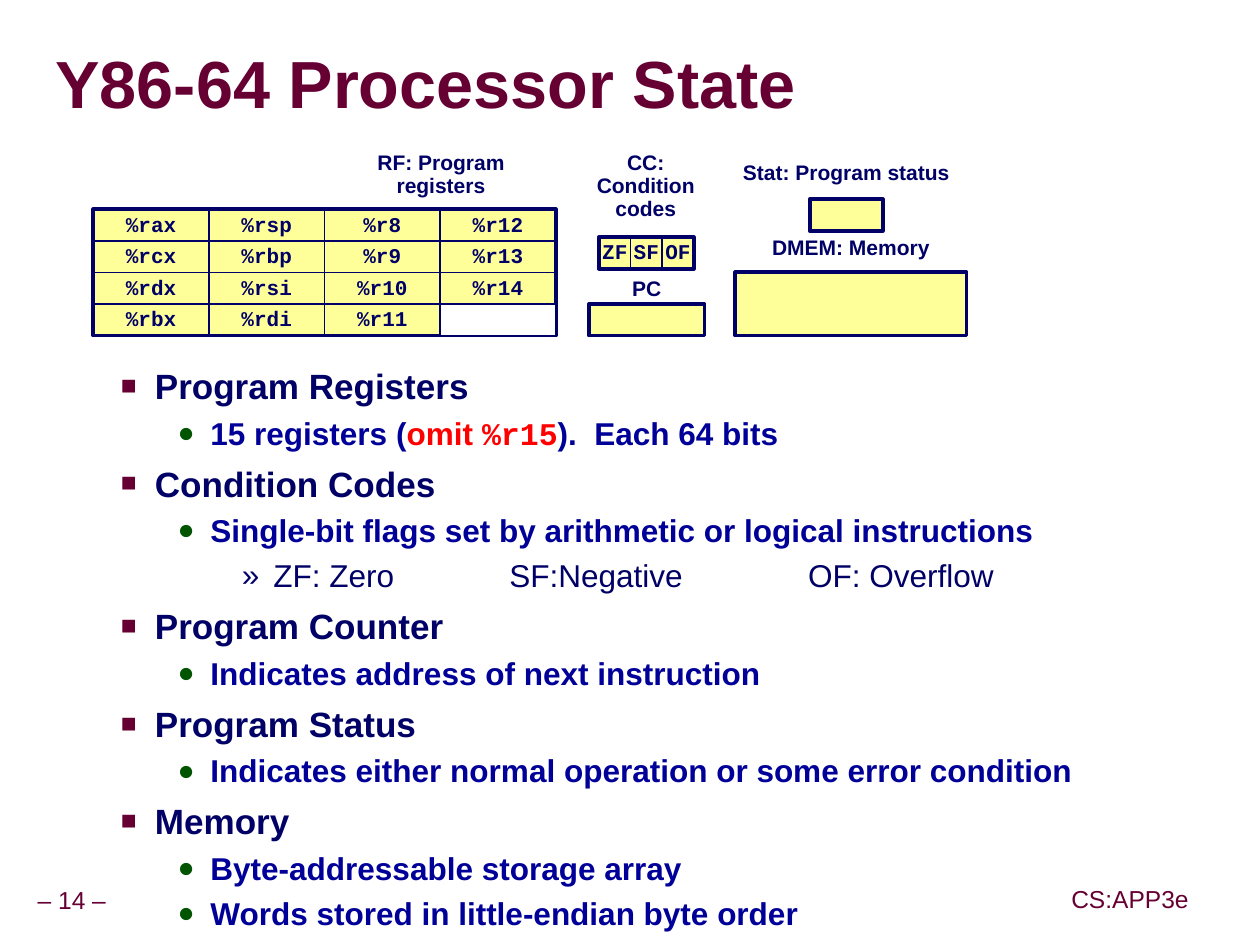
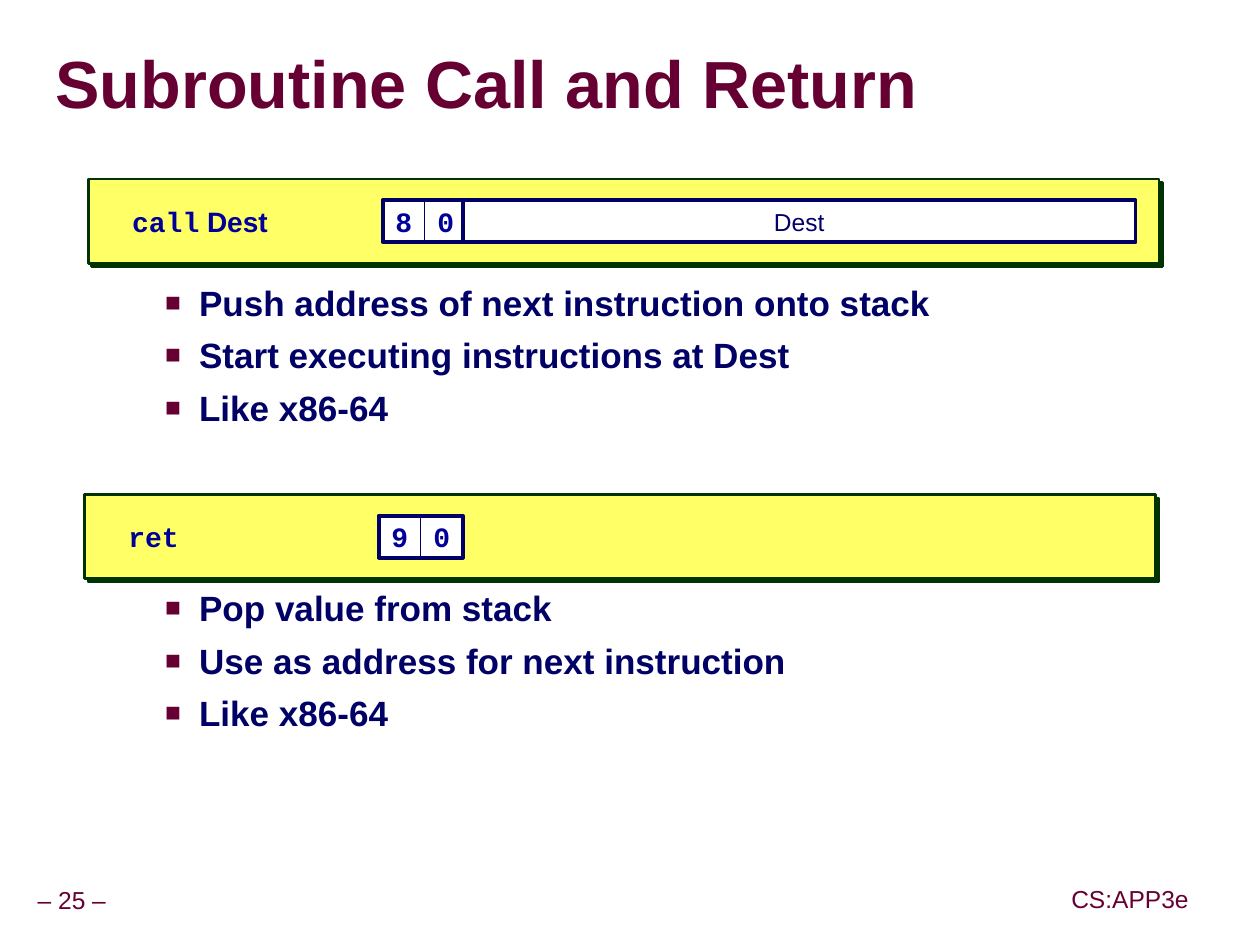
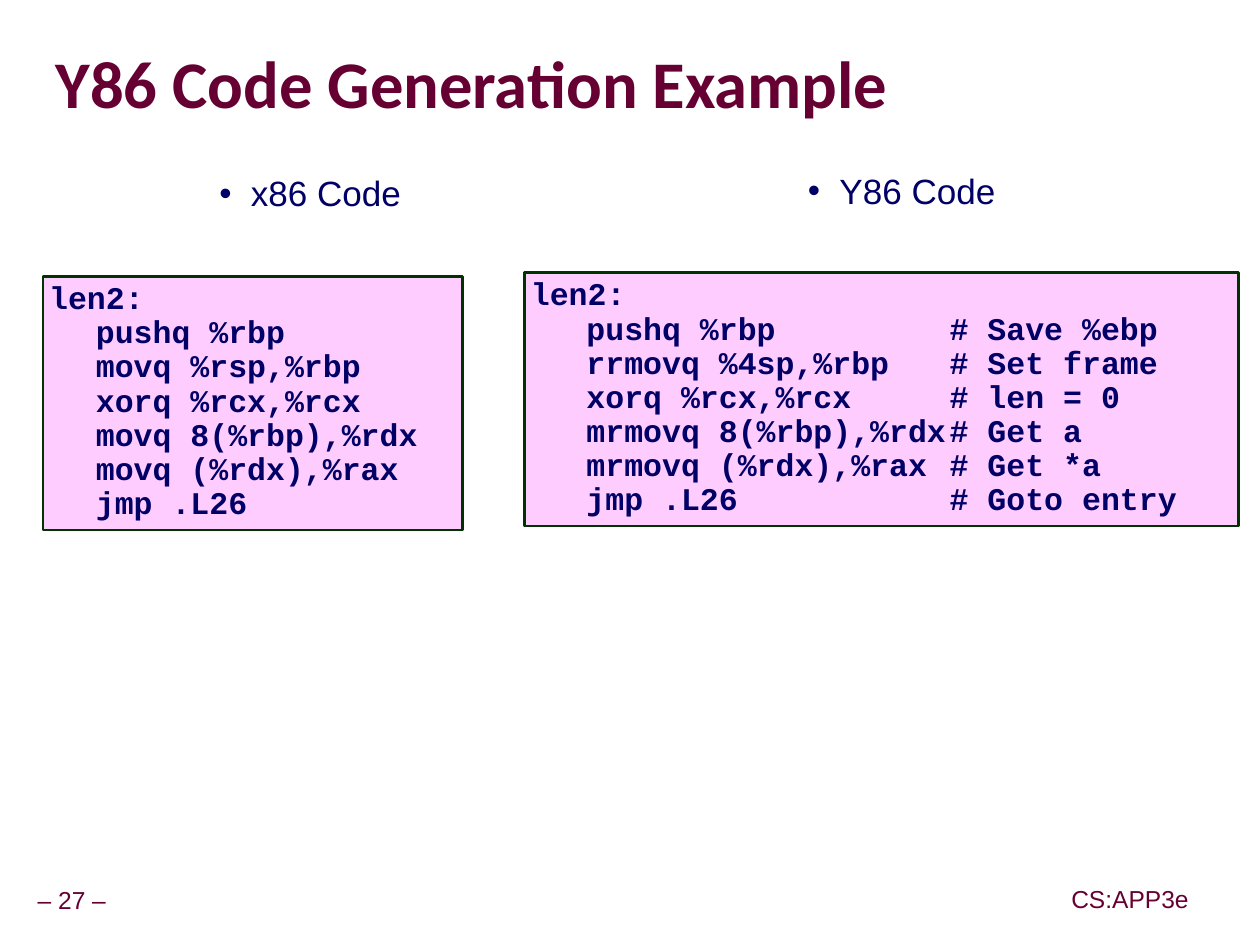
from lxml.etree import SubElement
from pptx import Presentation
from pptx.dml.color import RGBColor
from pptx.enum.shapes import MSO_SHAPE
from pptx.enum.text import MSO_ANCHOR, PP_ALIGN
from pptx.oxml.ns import qn
from pptx.util import Inches, Pt

COLORS = {
    "wine": "660033", "navy": "000066", "blue": "000099", "red": "FF0000",
    "green": "005400", "forest": "003300", "gray": "969696", "white": "FFFFFF",
    "cream": "FFFF99", "yellow": "FFFF66", "pink": "FFCCFF",
}
SANS, MONO = "Arial", "Courier New"
COLUMN, ROW = 11 / 12, 0.25
NIBBLE = 1 / 3

# Bullet styles: character, colour, size in percent, text indent, hanging, space before
TOPIC = ("■", "wine", 75, 0.81, 0.27, 6)
DETAIL = ("●", "green", 90, 1.25, 0.26, 2.5)
FLAG = ("»", "navy", 100, 1.75, 0.25, 4.3)
HEADING = ("•", "navy", 100, 0.25, 0.25, 0)


def add_box(page, place, fill=None, line=None, weight=1.0, wrap=True,
            anchor=MSO_ANCHOR.MIDDLE, inset=(0.1, 0.05)):
    """Add a rectangle, or a plain text box when neither fill nor line is given."""
    left, top, width, height = [Inches(length) for length in place]
    if fill or line:
        box = page.shapes.add_shape(MSO_SHAPE.RECTANGLE, left, top, width, height)
        box.shadow.inherit = False
        if fill:
            box.fill.solid()
            box.fill.fore_color.rgb = RGBColor.from_string(COLORS[fill])
        else:
            box.fill.background()
        box.line.color.rgb = RGBColor.from_string(COLORS[line])
        box.line.width = Pt(weight)
    else:
        box = page.shapes.add_textbox(left, top, width, height)
    frame = box.text_frame
    frame.word_wrap = wrap
    frame.vertical_anchor = anchor
    frame.margin_left = frame.margin_right = Inches(inset[0])
    frame.margin_top = frame.margin_bottom = Inches(inset[1])
    return box


def write(box, text, size, color="navy", font=SANS, bold=True,
          align=PP_ALIGN.LEFT, spacing=None, bullet=None, tabs=()):
    """Add a paragraph; text is a string or a list of (text, colour, font)."""
    frame = box.text_frame
    is_first = not frame.text
    para = frame.paragraphs[0] if is_first else frame.add_paragraph()
    properties = para._p.get_or_add_pPr()
    if bullet:
        mark, mark_color, percent, indent, hanging, before = bullet
        properties.set("marL", str(Inches(indent)))
        properties.set("indent", str(-Inches(hanging)))
        tint = SubElement(properties, qn("a:buClr"))
        SubElement(tint, qn("a:srgbClr"), val=COLORS[mark_color])
        SubElement(properties, qn("a:buSzPct"), val=str(percent * 1000))
        SubElement(properties, qn("a:buFont"), typeface=SANS)
        SubElement(properties, qn("a:buChar"), char=mark)
        if not is_first:
            para.space_before = Pt(before)
    if tabs:
        tab_list = SubElement(properties, qn("a:tabLst"))
        for stop in tabs:
            SubElement(tab_list, qn("a:tab"), pos=str(Inches(stop)), algn="l")
    para.alignment = align
    if spacing:
        para.line_spacing = spacing
    spans = [(text, color, font)] if isinstance(text, str) else text
    for words, span_color, span_font in spans:
        span = para.add_run()
        span.text = words
        span.font.size = Pt(size)
        span.font.name = span_font
        span.font.bold = bold
        span.font.color.rgb = RGBColor.from_string(COLORS[span_color])
    return para


deck = Presentation()
deck.slide_width, deck.slide_height = Inches(9.99), Inches(7.49)

# Titles and footers
pages = []
for title, title_font, number in [
    ("Y86-64 Processor State", SANS, 14),
    ("Subroutine Call and Return", SANS, 25),
    ("Y86 Code Generation Example", "Calibri", 27),
]:
    page = deck.slides.add_slide(deck.slide_layouts[5])
    pages.append(page)
    heading = page.shapes.title
    heading.left, heading.top = Inches(0.44), Inches(0.27)
    heading.width, heading.height = Inches(9.5), Inches(0.85)
    frame = heading.text_frame
    frame.vertical_anchor = MSO_ANCHOR.MIDDLE
    frame.margin_left = frame.margin_right = 0
    frame.margin_top = frame.margin_bottom = 0
    para = write(heading, title, 38, "wine", title_font, spacing=0.87)
    text_fill = para.runs[0]._r.rPr.find(qn("a:solidFill"))
    effects = text_fill.makeelement(qn("a:effectLst"))
    text_fill.addnext(effects)
    shadow = SubElement(effects, qn("a:outerShdw"), dist=str(Pt(2.8)), dir="2700000")
    SubElement(shadow, qn("a:srgbClr"), val=COLORS["gray"])

    for footer, place in [
        (f"– {number} –", (0.24, 6.99, 0.66, 0.31)),
        ("CS:APP3e", (8.44, 6.98, 1.04, 0.32)),
    ]:
        box = add_box(page, place, wrap=False, inset=(0.05, 0.05))
        write(box, footer, 14, "wine", bold=False, align=PP_ALIGN.CENTER, spacing=0.9)

state_page, call_page, code_page = pages

# Processor state: cell grids with a heavy frame
for left, top, width, columns in [
    (0.74, 1.66, COLUMN, [
        ["%rax", "%rcx", "%rdx", "%rbx"],
        ["%rsp", "%rbp", "%rsi", "%rdi"],
        ["%r8", "%r9", "%r10", "%r11"],
        ["%r12", "%r13", "%r14", ""],
    ]),
    (4.75, 1.88, ROW, [["ZF"], ["SF"], ["OF"]]),
]:
    size = (len(columns) * width, len(columns[0]) * ROW)
    add_box(state_page, (left, top, *size), "cream", "navy", 2.25)
    for column, names in enumerate(columns):
        for row, name in enumerate(names):
            place = (left + column * width, top + row * ROW, width, ROW)
            cell = add_box(state_page, place, None if name else "white", "navy", wrap=False)
            if name:
                write(cell, name, 12, font=MONO, align=PP_ALIGN.CENTER, spacing=0.9)

for place in [
    (4.67, 2.41, COLUMN, ROW),
    (5.83, 2.16, 2 * COLUMN, 2 * ROW),
    (6.42, 1.58, 0.58, ROW),
]:
    add_box(state_page, place, "cream", "navy", 2.25)

for label, place in [
    ("RF: Program registers", (2.58, 1.16, 2 * COLUMN, 0.5)),
    ("CC: Condition codes", (4.58, 1.16, 1.08, 0.65)),
    ("PC", (4.67, 2.16, COLUMN, 0.3)),
    ("DMEM: Memory", (5.83, 1.83, 2 * COLUMN, 0.3)),
    ("Stat: Program status", (5.67, 1.24, 2.08, 0.3)),
]:
    box = add_box(state_page, place, anchor=MSO_ANCHOR.TOP)
    write(box, label, 12, align=PP_ALIGN.CENTER, spacing=0.9)

summary = add_box(state_page, (0.32, 2.84, 9.07, 4.2), anchor=MSO_ANCHOR.TOP)
for topic, details, flags in [
    ("Program Registers", [[
        ("15 registers (", "blue", SANS),
        ("omit ", "red", SANS),
        ("%r15", "red", MONO),
        (").  Each 64 bits", "blue", SANS),
    ]], None),
    ("Condition Codes",
     ["Single-bit flags set by arithmetic or logical instructions"],
     "ZF: Zero\tSF:Negative\tOF: Overflow"),
    ("Program Counter", ["Indicates address of next instruction"], None),
    ("Program Status", ["Indicates either normal operation or some error condition"], None),
    ("Memory", ["Byte-addressable storage array",
                "Words stored in little-endian byte order"], None),
]:
    write(summary, topic, 20, bullet=TOPIC)
    for detail in details:
        write(summary, detail, 18, "blue", spacing=1.07, bullet=DETAIL)
    if flags:
        write(summary, flags, 18, bold=False, bullet=FLAG, tabs=(3.62, 5.99))

# Call and return: one band per instruction, with its notes below
for left, top, name, digits, target, notes_top, notes in [
    (0.7, 1.42, [("call", "blue", MONO), (" Dest", "blue", SANS)], "80", "Dest", 2.18,
     ["Push address of next instruction onto stack",
      "Start executing instructions at Dest", "Like x86-64"]),
    (0.67, 3.92, [("ret", "blue", MONO)], "90", None, 4.6,
     ["Pop value from stack", "Use as address for next instruction", "Like x86-64"]),
]:
    band = add_box(call_page, (left, top, 8.49, 2 * NIBBLE), "yellow", "forest", 1.5)
    effects = band._element.spPr.find(qn("a:effectLst"))
    shadow = SubElement(effects, qn("a:outerShdw"), dist=str(Pt(2.8)), dir="2700000",
                        algn="ctr", rotWithShape="0")
    SubElement(shadow, qn("a:srgbClr"), val=COLORS["forest"])

    middle = top + NIBBLE / 2
    label = add_box(call_page, (left + 0.25, middle, 2.08, NIBBLE), wrap=False)
    write(label, name, 16)
    code_left = left + 7 * NIBBLE
    for position, digit in enumerate(digits):
        place = (code_left + position * NIBBLE, middle, NIBBLE, NIBBLE)
        cell = add_box(call_page, place, "white", "navy", 0.5, wrap=False)
        write(cell, digit, 16, "blue", MONO, align=PP_ALIGN.CENTER)
    add_box(call_page, (code_left, middle, 2 * NIBBLE, NIBBLE), None, "navy", 2.25)
    if target:
        place = (left + 2.97, middle, 16 * NIBBLE, NIBBLE)
        field = add_box(call_page, place, "white", "navy", 2.25, wrap=False)
        write(field, target, 14, bold=False, align=PP_ALIGN.CENTER)

    notes_box = add_box(call_page, (0.67, notes_top, 8.42, 1.3), anchor=MSO_ANCHOR.TOP)
    for note in notes:
        write(notes_box, note, 20, bullet=TOPIC)

# Code listings side by side
for name, name_place, code_place, tabs, lines in [
    ("x86 Code", (0.24, 1.35, 4.44, 0.5), (0.34, 2.19, 3.33, 2.01), (0.37,), [
        "len2:",
        "\tpushq %rbp",
        "\tmovq %rsp,%rbp",
        "\txorq %rcx,%rcx",
        "\tmovq 8(%rbp),%rdx",
        "\tmovq (%rdx),%rax",
        "\tjmp .L26",
    ]),
    ("Y86 Code", (4.93, 1.33, 4.44, 0.5), (4.16, 2.16, 5.66, 2.01), (0.44, 3.32), [
        "len2:",
        "\tpushq %rbp\t# Save %ebp",
        "\trrmovq %4sp,%rbp\t# Set frame",
        "\txorq %rcx,%rcx\t# len = 0",
        "\tmrmovq 8(%rbp),%rdx\t# Get a",
        "\tmrmovq (%rdx),%rax\t# Get *a",
        "\tjmp .L26\t# Goto entry",
    ]),
]:
    box = add_box(code_page, name_place, anchor=MSO_ANCHOR.TOP)
    write(box, name, 20, bold=False, align=PP_ALIGN.CENTER, spacing=0.9, bullet=HEADING)
    listing = add_box(code_page, code_place, "pink", "forest", 1.5,
                      anchor=MSO_ANCHOR.TOP, inset=(0.05, 0.05))
    for line in lines:
        write(listing, line, 18, font=MONO, spacing=0.9, tabs=tabs)

deck.save("out.pptx")
